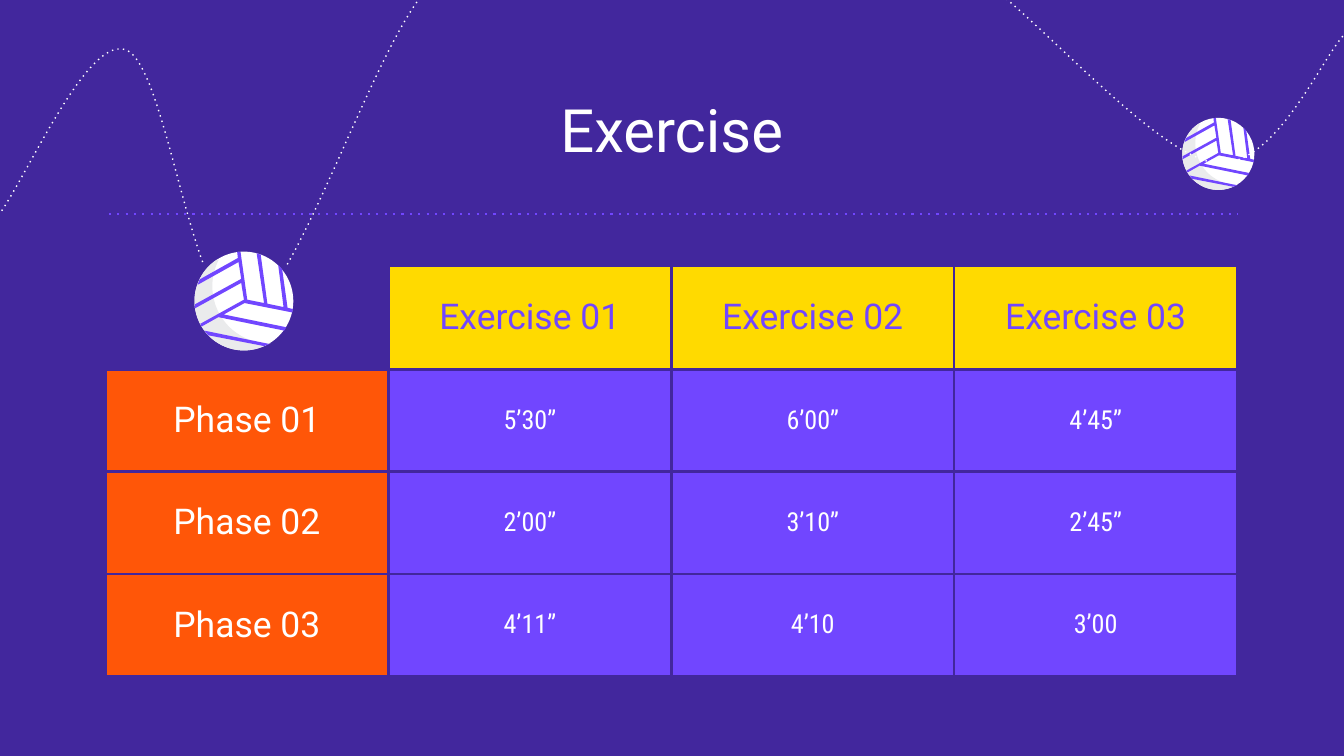
from math import cos, radians, sin

from lxml import etree
from pptx import Presentation
from pptx import util as u
from pptx.dml.color import RGBColor
from pptx.enum import dml, shapes, text
from pptx.oxml.ns import qn

COLORS = {
    "background": "42279D",
    "violet": "7146FF",
    "yellow": "FFDA00",
    "orange": "FF5608",
    "white": "FFFFFF",
    "shade": "EAEBEC",
}
HEADING_FONT, TIME_FONT = "Roboto", "Roboto Condensed"
INSET = u.Inches(0.2)

SCHEDULE = [
    ["", "Exercise 01", "Exercise 02", "Exercise 03"],
    ["Phase 01", "5’30’’", "6’00’’", "4’45’’"],
    ["Phase 02", "2’00’’", "3’10’’", "2’45’’"],
    ["Phase 03", "4’11’’", "4’10", "3’00"],
]

# A start point, then three points for each Bézier curve.
LEFT_TRAIL = [
    (-0.51, 2.83), (-0.45, 2.92), (-0.55, 3.71), (-0.15, 3.36),
    (0.25, 3.01), (1.24, 0.52), (1.87, 0.74),
    (2.5, 0.96), (2.87, 4.84), (3.62, 4.68),
    (4.38, 4.52), (5.57, 0.61), (6.4, -0.21),
    (7.23, -1.03), (8.22, -0.22), (8.59, -0.23),
]
RIGHT_TRAIL = [
    (13.27, -0.19), (13.46, -0.23), (13.62, -0.87), (14.42, -0.43),
    (15.22, 0), (17.12, 2.27), (18.06, 2.42),
    (19, 2.56), (19.7, 0.74), (20.07, 0.45),
    (20.43, 0.16), (20.21, 0.64), (20.23, 0.68),
]

# Ball outlines are measured from the centre of the larger ball.
BALL_RADIUS = 0.735
LOWER_SEAM = [(-0.59, 0.44), (-0.53, 0.51), (0.3, 0.67), (0.38, 0.64)]
MAIN_SEAMS = [
    (0.19, -0.71), (0.3, 0.03), (0.05, -0.02), (-0.05, -0.73), (-0.1, -0.73),
    (-0.09, -0.64), (-0.66, -0.32), (-0.69, -0.24), (-0.08, -0.58),
    (-0.04, -0.33), (-0.73, 0.05), (-0.73, 0.11), (-0.04, -0.27), (0, -0.02),
    (-0.65, 0.34), (-0.63, 0.38), (-0.38, 0.24), (0.6, 0.44), (0.63, 0.39),
    (-0.3, 0.2), (0.01, 0.03), (0.72, 0.17), (0.73, 0.12), (0.65, 0.1),
    (0.57, -0.47), (0.51, -0.54), (0.59, 0.09), (0.35, 0.04), (0.25, -0.69),
]


def rgb(name):
    return RGBColor.from_string(COLORS[name])


def arc(x, y, radius, start, end, steps=40):
    angles = [radians(start + (end - start) * i / steps) for i in range(steps + 1)]
    return [(x + radius * cos(a), y + radius * sin(a)) for a in angles]


def curve_points(controls, steps=30):
    points = [controls[0]]
    for i in range(0, len(controls) - 1, 3):
        a, b, c, d = controls[i:i + 4]
        for step in range(1, steps + 1):
            t = step / steps
            s = 1 - t
            points.append(tuple(
                s**3 * a[k] + 3 * s * s * t * b[k] + 3 * s * t * t * c[k] + t**3 * d[k]
                for k in (0, 1)))
    return points


def add_outline(parent, points, close):
    points = [(u.Inches(x), u.Inches(y)) for x, y in points]
    builder = parent.build_freeform(*points[0])
    builder.add_line_segments(points[1:], close=close)
    outline = builder.convert_to_shape()
    outline.shadow.inherit = False
    return outline


def dot_line(shape, color, width):
    shape.line.color.rgb = rgb(color)
    shape.line.width = u.Pt(width)
    shape.line.dash_style = dml.MSO_LINE.ROUND_DOT
    shape._element.spPr.find(".//" + qn("a:prstDash")).set("val", "dot")


def add_trail(slide, controls):
    trail = add_outline(slide.shapes, curve_points(controls), close=False)
    trail.fill.background()
    dot_line(trail, "white", 1.5)


def add_rule(slide):
    rule = slide.shapes.add_connector(
        shapes.MSO_CONNECTOR.STRAIGHT,
        u.Inches(1.62), u.Inches(3.19), u.Inches(18.43), u.Inches(3.19))
    dot_line(rule, "violet", 2.25)
    etree.SubElement(rule._element.spPr, qn("a:effectLst"))


def paint(shape, color):
    shape.fill.solid()
    shape.fill.fore_color.rgb = rgb(color)
    shape.line.fill.background()


def add_ball(slide, x, y, scale):
    parts = slide.shapes.add_group_shape().shapes
    radius = BALL_RADIUS * scale
    sphere = parts.add_shape(
        shapes.MSO_SHAPE.OVAL, u.Inches(x - radius), u.Inches(y - radius),
        u.Inches(2 * radius), u.Inches(2 * radius))
    sphere.shadow.inherit = False
    paint(sphere, "white")
    crescent = arc(0, 0, BALL_RADIUS, 238, 58) + arc(0.38, -0.22, 0.85, 89, 207)
    for points, color in ((crescent, "shade"), (LOWER_SEAM, "violet"), (MAIN_SEAMS, "violet")):
        placed = [(x + px * scale, y + py * scale) for px, py in points]
        paint(add_outline(parts, placed, close=True), color)


def write(paragraph, words, font, size, color):
    paragraph.alignment = text.PP_ALIGN.CENTER
    run = paragraph.add_run()
    run.text = words
    run.font.name = font
    run.font.size = u.Pt(size)
    run.font.bold = False
    run.font.color.rgb = rgb(color)


def set_title(slide, words):
    title = slide.shapes.title
    title.left, title.top = u.Inches(1.57), u.Inches(1.18)
    title.width, title.height = u.Inches(16.85), u.Inches(1.25)
    frame = title.text_frame
    frame.word_wrap = True
    frame.auto_size = text.MSO_AUTO_SIZE.NONE
    frame.vertical_anchor = text.MSO_ANCHOR.TOP
    frame.margin_left = frame.margin_right = INSET
    frame.margin_top = frame.margin_bottom = INSET
    write(frame.paragraphs[0], words, HEADING_FONT, 64, "white")


def border_cell(cell):
    """Draw the gaps between cells as borders in the background colour."""
    properties = cell._tc.get_or_add_tcPr()
    for position, side in enumerate(("lnL", "lnR", "lnT", "lnB")):
        line = etree.Element(qn("a:" + side), w=str(u.Pt(3)))
        fill = etree.SubElement(line, qn("a:solidFill"))
        etree.SubElement(fill, qn("a:srgbClr"), val=COLORS["background"])
        properties.insert(position, line)


def cell_style(row, column):
    """Return fill, font, size and text colour."""
    if row == 0:
        return "yellow" if column else "background", HEADING_FONT, 38, "violet"
    if column == 0:
        return "orange", HEADING_FONT, 38, "white"
    return "violet", TIME_FONT, 28, "white"


def add_schedule(slide):
    table = slide.shapes.add_table(
        len(SCHEDULE), len(SCHEDULE[0]), u.Inches(1.57), u.Inches(3.96),
        u.Inches(16.84), u.Inches(6.1)).table
    for column in table.columns:
        column.width = u.Inches(4.21)
    for r, entries in enumerate(SCHEDULE):
        table.rows[r].height = u.Inches(1.52 if r else 1.54)
        for c, words in enumerate(entries):
            cell = table.cell(r, c)
            fill, font, size, color = cell_style(r, c)
            cell.fill.solid()
            cell.fill.fore_color.rgb = rgb(fill)
            cell.vertical_anchor = text.MSO_ANCHOR.MIDDLE
            cell.margin_left = cell.margin_right = INSET
            cell.margin_top = cell.margin_bottom = INSET
            border_cell(cell)
            if words:
                write(cell.text_frame.paragraphs[0], words, font, size, color)


def main():
    deck = Presentation()
    deck.slide_width, deck.slide_height = u.Inches(20), u.Inches(11.25)
    slide = deck.slides.add_slide(deck.slide_layouts[5])
    slide.background.fill.solid()
    slide.background.fill.fore_color.rgb = rgb("background")
    add_rule(slide)
    add_trail(slide, LEFT_TRAIL)
    set_title(slide, "Exercise")
    add_schedule(slide)
    add_ball(slide, 3.63, 4.48, 1)
    add_ball(slide, 18.13, 2.29, 0.73)
    add_trail(slide, RIGHT_TRAIL)
    deck.save("out.pptx")


if __name__ == "__main__":
    main()
